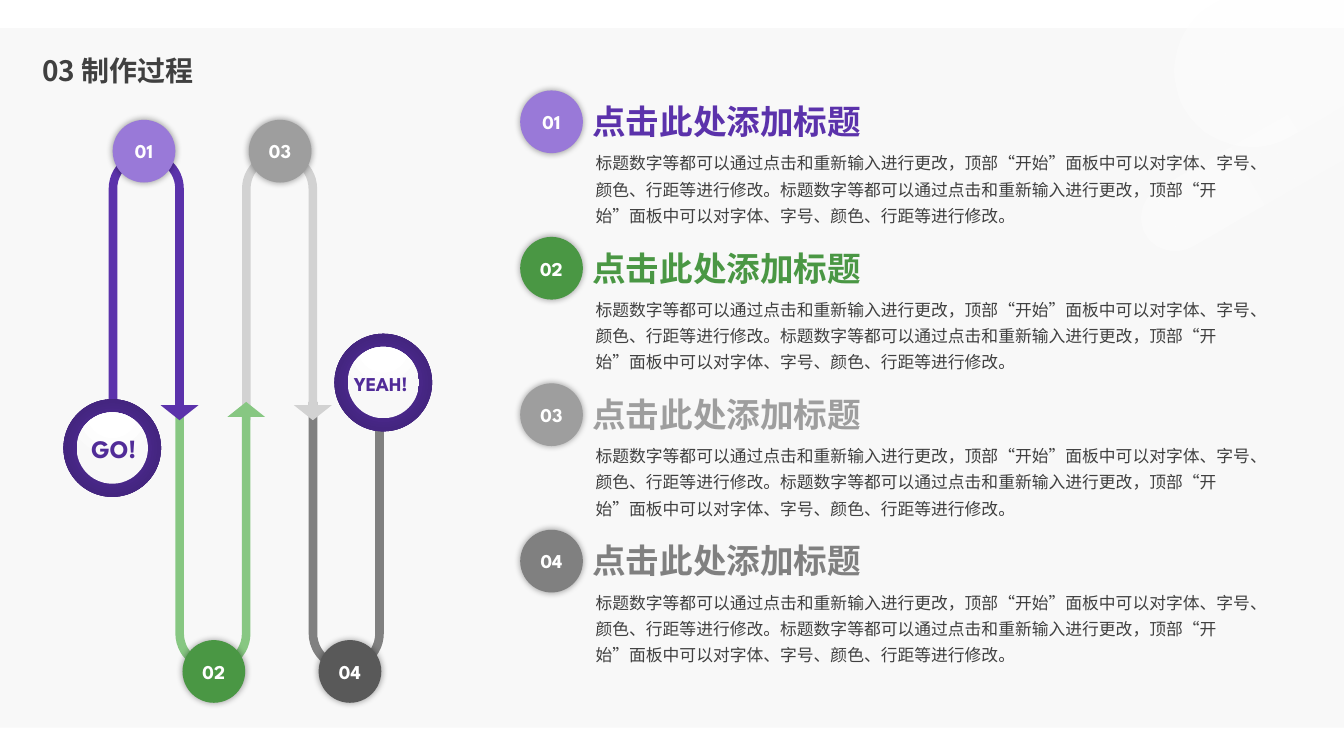
from dataclasses import dataclass
from math import cos, pi, sin, tan

from pptx import Presentation
from pptx.dml.color import RGBColor
from pptx.enum.shapes import MSO_SHAPE as Preset
from pptx.enum.text import MSO_ANCHOR as Anchor, PP_ALIGN as Align
from pptx.oxml import parse_xml
from pptx.oxml.ns import nsdecls, qn
from pptx.util import Cm, Pt

COLORS = {
    "white": "FFFFFF", "band": "F8F8F8", "text": "404040",
    "purple": "5B32AB", "lilac": "9979D8", "green": "4A9744", "mint": "87C782",
    "gray": "9E9E9E", "silver": "D2D2D2", "dark": "808080", "charcoal": "595959",
    "violet": "512C98", "indigo": "442580", "night": "402378",
}
LATIN, CJK = "League Spartan", "Noto Sans CJK SC"
SLIDE_W, SLIDE_H = 33.87, 19.05
BALL = 1.58
BODY = "标题数字等都可以通过点击和重新输入进行更改，顶部“开始”面板中可以对字体、字号、颜色、行距等进行修改。" * 2

TITLE_FMT = {"size": Pt(20), "bold": True, "name": CJK}
HEAD_FMT = {"size": Pt(24), "bold": True, "name": LATIN}
BODY_FMT = {"size": Pt(12), "bold": False, "name": CJK}
BALL_FMT = {"size": Pt(14), "bold": True, "name": LATIN}
GO_FMT = {"size": Pt(18), "bold": True, "name": LATIN}


@dataclass
class Step:
    """One stage of the process, on the track and in the list."""
    number: str
    arrow: str
    track_ball: str
    list_ball: str
    heading: str


@dataclass
class Badge:
    """A ringed label at one end of the track."""
    label: str
    x: float
    y: float
    text_dx: float
    fmt: dict


@dataclass
class Bar:
    """A slanted translucent bar running off the right edge."""
    x: float
    y: float
    radius: float
    end_alpha: int


STEPS = [
    Step("01", "purple", "lilac", "lilac", "purple"),
    Step("02", "mint", "green", "green", "green"),
    Step("03", "silver", "gray", "gray", "gray"),
    Step("04", "dark", "charcoal", "dark", "dark"),
]
BADGES = [Badge("GO!", 1.6, 10.06, 0.04, GO_FMT),
          Badge("YEAH!", 8.43, 8.41, -0.06, BALL_FMT)]
BARS = [Bar(31.52, 1.77, 1.92, 31), Bar(29.62, 5.47, 0.84, 17)]
RING_STOPS = [(0, "violet", 100), (23, "violet", 100), (69, "indigo", 100), (97, "night", 100)]
DISC_STOPS = [(0, "white", 100), (35, "white", 100), (100, "band", 100)]


def rgb(color: str) -> RGBColor:
    """Look up a named colour."""
    return RGBColor.from_string(COLORS[color])


def write(sp, text: str, fmt: dict, color: str, align=Align.LEFT,
          anchor=Anchor.TOP, wrap=False, spacing=1.0) -> None:
    """Fill a shape with one formatted paragraph."""
    tf = sp.text_frame
    tf.word_wrap, tf.vertical_anchor = wrap, anchor
    p = tf.paragraphs[0]
    p.alignment, p.line_spacing = align, spacing
    r = p.add_run()
    r.text = text
    for name, value in fmt.items():
        setattr(r.font, name, value)
    r.font.color.rgb = rgb(color)
    rpr = r._r.get_or_add_rPr()
    rpr.set("lang", "zh-CN")
    rpr.find(qn("a:latin")).addnext(parse_xml(f'<a:ea {nsdecls("a")} typeface="{CJK}"/>'))


def textbox(s, x: float, y: float, w: float, h: float):
    """Add a text box measured in centimetres."""
    return s.shapes.add_textbox(Cm(x), Cm(y), Cm(w), Cm(h))


def plain(sp, color: str) -> None:
    """Give a shape a flat fill with no line or shadow."""
    sp.shadow.inherit = False
    sp.fill.solid()
    sp.fill.fore_color.rgb = rgb(color)
    sp.line.fill.background()


def shape(s, kind, x: float, y: float, w: float, h: float, color: str):
    """Add a flat preset shape measured in centimetres."""
    sp = s.shapes.add_shape(kind, Cm(x), Cm(y), Cm(w), Cm(h))
    plain(sp, color)
    return sp


def gradient(sp, stops: list, course: str) -> None:
    """Replace a flat fill by a gradient."""
    gs = "".join(
        f'<a:gs pos="{pos * 1000}"><a:srgbClr val="{COLORS[color]}">'
        f'<a:alpha val="{alpha * 1000}"/></a:srgbClr></a:gs>' for pos, color, alpha in stops)
    solid = sp._element.spPr.find(qn("a:solidFill"))
    solid.getparent().replace(solid, parse_xml(
        f'<a:gradFill {nsdecls("a")} rotWithShape="1"><a:gsLst>{gs}</a:gsLst>{course}</a:gradFill>'))


def radial(top: int, bottom: int) -> str:
    """Describe a circular gradient by its focus."""
    return (f'<a:path path="circle"><a:fillToRect l="50000" t="{top * 1000}" '
            f'r="50000" b="{bottom * 1000}"/></a:path>')


def draw_bar(s, bar: Bar) -> None:
    """Draw a round-ended bar rising at 30 degrees to the right edge."""
    angles = [pi / 3 + pi * i / 24 for i in range(25)]
    cap = [(bar.x + bar.radius * cos(a), bar.y + bar.radius * sin(a)) for a in angles]
    ends = [(SLIDE_W, y - (SLIDE_W - x) * tan(pi / 6)) for x, y in (cap[-1], cap[0])]
    points = [(Cm(x), Cm(y)) for x, y in cap + ends]
    fb = s.shapes.build_freeform(*points[0], scale=1.0)
    fb.add_line_segments(points[1:], close=True)
    sp = fb.convert_to_shape()
    plain(sp, "white")
    gradient(sp, [(0, "white", 50), (100, "white", bar.end_alpha)],
             '<a:lin ang="19800000" scaled="0"/>')


def draw_arrow(s, i: int, color: str) -> None:
    """Draw one U-turn of the track; odd ones hang below."""
    below = i % 2 == 1
    sp = shape(s, Preset.U_TURN_ARROW, 2.74 + 1.68 * i, 10.13 if below else 3.81,
               2.26, 6.78, color)
    for k, value in enumerate((0.096, 0.21, 0.167, 0.438, 1)):
        sp.adjustments[k] = value
    if below:
        sp._element.spPr.find(qn("a:xfrm")).set("flipV", "1")


def draw_ball(s, x: float, y: float, number: str, color: str) -> None:
    """Draw a numbered ball with a soft shadow."""
    sp = shape(s, Preset.OVAL, x, y, BALL, BALL, color)
    sp._element.spPr.find(qn("a:effectLst")).append(parse_xml(
        f'<a:outerShdw {nsdecls("a")} blurRad="{Pt(5)}" dist="0" algn="ctr" rotWithShape="0">'
        '<a:srgbClr val="000000"><a:alpha val="40000"/></a:srgbClr></a:outerShdw>'))
    write(sp, number, BALL_FMT, "white", Align.CENTER, Anchor.MIDDLE)


def draw_item(s, i: int, step: Step) -> None:
    """Draw one list entry: body, heading and ball."""
    y = 2.28 + 3.69 * i
    write(textbox(s, 14.76, y + 1.3, 17.37, 2.26), BODY, BODY_FMT, "text",
          wrap=True, spacing=1.3)
    write(textbox(s, 14.68, y + 0.14, 7.34, 1.27), "点击此处添加标题", HEAD_FMT, step.heading)
    draw_ball(s, 13.11, y, step.number, step.list_ball)


def draw_badge(s, badge: Badge) -> None:
    """Draw a ring, its disc and its label."""
    ring, disc = 2.46, 1.8
    inset = (ring - disc) / 2
    sp = shape(s, Preset.OVAL, badge.x, badge.y, ring, ring, "violet")
    gradient(sp, RING_STOPS, radial(50, 50))
    sp = shape(s, Preset.OVAL, badge.x + inset, badge.y + inset, disc, disc, "white")
    gradient(sp, DISC_STOPS, radial(-80, 180))
    label = textbox(s, badge.x + badge.text_dx, badge.y + 0.75, ring, 1)
    label.text_frame.margin_left = label.text_frame.margin_right = 0
    write(label, badge.label, badge.fmt, "violet", Align.CENTER, Anchor.MIDDLE)


def main() -> None:
    """Build and save the slide."""
    prs = Presentation()
    prs.slide_width, prs.slide_height = Cm(SLIDE_W), Cm(SLIDE_H)
    s = prs.slides.add_slide(prs.slide_layouts[6])
    shape(s, Preset.RECTANGLE, 0, 0.71, SLIDE_W, 17.63, "band")
    for bar in BARS:
        draw_bar(s, bar)
    write(textbox(s, 0.81, 1.09, 12.67, 1.47), "03 制作过程", TITLE_FMT, "text",
          anchor=Anchor.MIDDLE, wrap=True, spacing=0.9)
    for i, step in reversed(list(enumerate(STEPS))):
        draw_arrow(s, i, step.arrow)
    for i, step in enumerate(STEPS):
        pair, below = divmod(i, 2)
        draw_ball(s, 2.84 + 3.43 * pair + 1.76 * below, 16.13 if below else 3.02,
                  step.number, step.track_ball)
    for i, step in enumerate(STEPS):
        draw_item(s, i, step)
    for badge in BADGES:
        draw_badge(s, badge)
    prs.save("out.pptx")


main()
